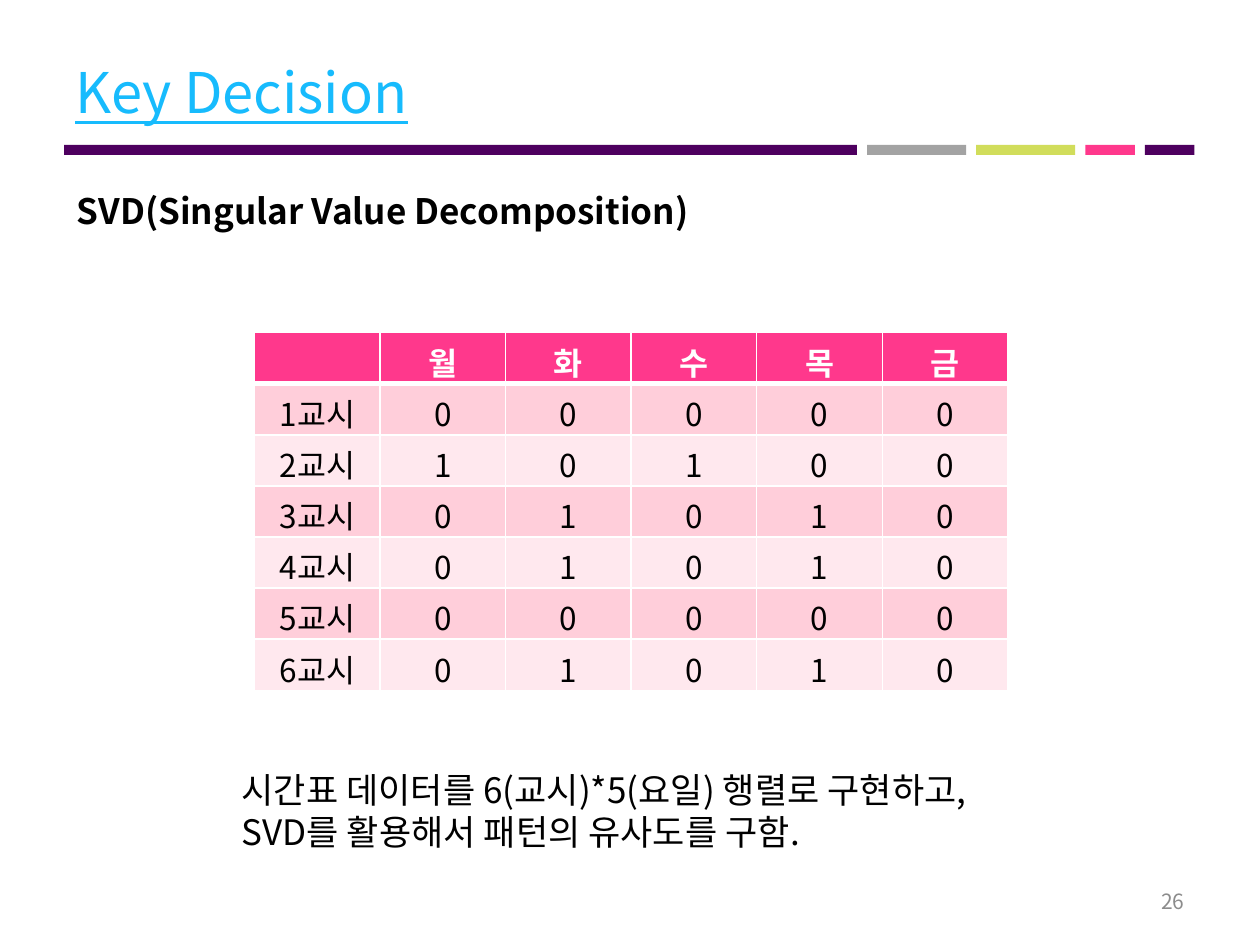
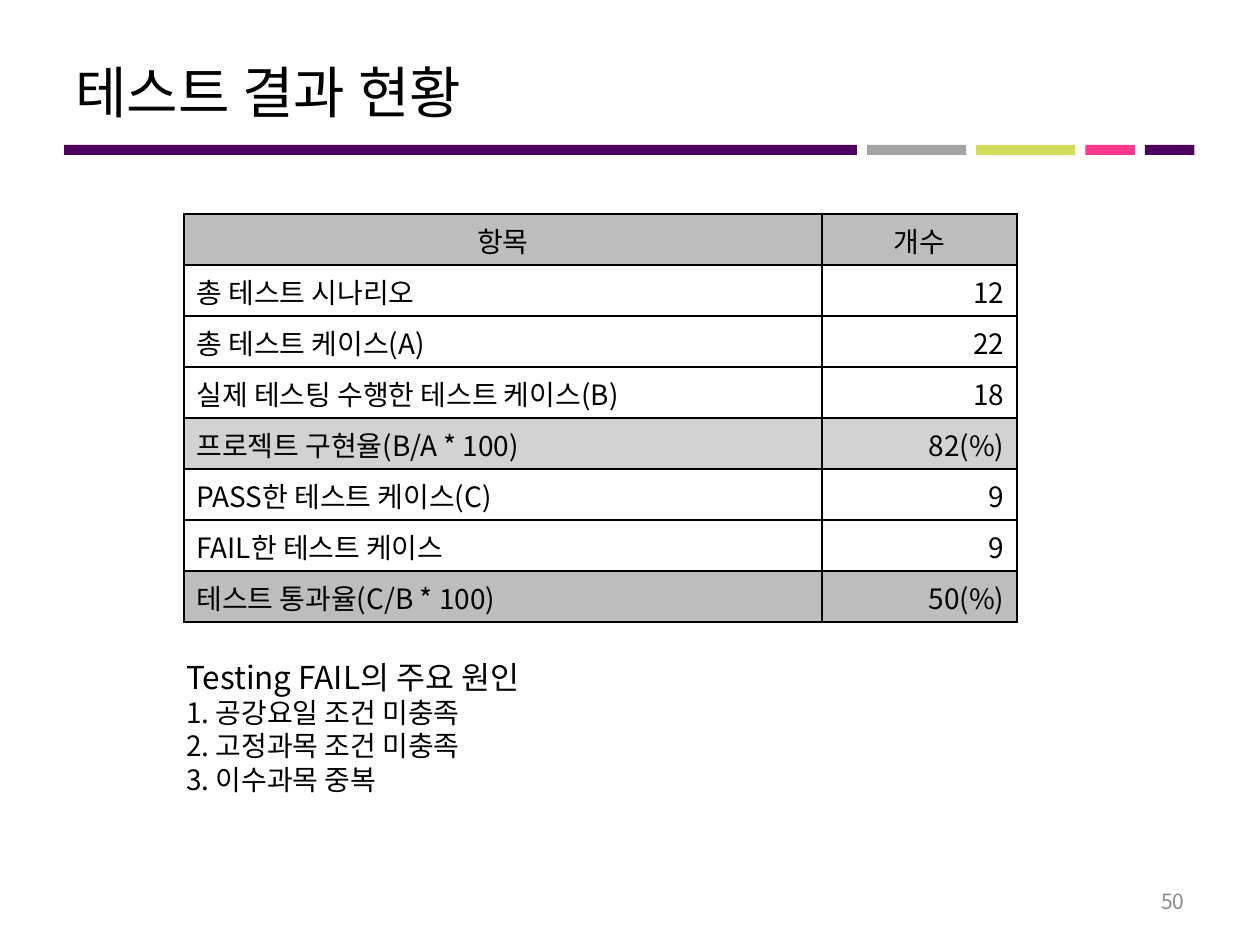
from dataclasses import dataclass
from typing import NamedTuple

from lxml.etree import SubElement
from pptx import Presentation
from pptx.dml.color import RGBColor
from pptx.enum.shapes import MSO_SHAPE
from pptx.enum.text import MSO_ANCHOR, PP_ALIGN
from pptx.oxml.ns import qn
from pptx.util import Inches, Pt


@dataclass(frozen=True)
class Theme:
    font: str = "Noto Sans CJK KR"
    ink: str = "000000"
    white: str = "FFFFFF"
    link: str = "17BBFD"
    page: str = "8C8C8C"
    purple: str = "4E005F"
    silver: str = "A3A3A3"
    lime: str = "D1DD5B"
    pink: str = "FF388C"
    rose: str = "FFCEDA"
    blush: str = "FFE8EE"
    gray: str = "BDBDBD"
    pale: str = "D2D2D2"
    title_pt: int = 32
    lead_pt: int = 20
    text_pt: int = 18
    small_pt: int = 16
    page_pt: int = 12


class Box(NamedTuple):
    """Left, top, width and height on the grid of 10 columns by 7.5 rows."""
    x: float
    y: float
    w: float
    h: float

    def emu(self):
        return [Inches(v) for v in self]


T = Theme()
COLUMNS, ROWS = 10, 7.5
TITLE = Box(0.5, 0.3, 9, 0.85)
BAND = Box(0.51, 1.15, 8.97, 0.08)
PAGE = Box(7.17, 6.95, 2.33, 0.4)
BAND_GAP = 0.08
BAND_PARTS = [(16, T.purple), (2, T.silver), (2, T.lime), (1, T.pink), (1, T.purple)]

DAYS = ["월", "화", "수", "목", "금"]
LESSONS = ["00000", "10100", "01010", "01010", "00000", "01010"]
RESULTS = [
    ("항목", "개수", T.gray),
    ("총 테스트 시나리오", "12", None),
    ("총 테스트 케이스(A)", "22", None),
    ("실제 테스팅 수행한 테스트 케이스(B)", "18", None),
    ("프로젝트 구현율(B/A * 100)", "82(%)", T.pale),
    ("PASS한 테스트 케이스(C)", "9", None),
    ("FAIL한 테스트 케이스", "9", None),
    ("테스트 통과율(C/B * 100)", "50(%)", T.gray),
]


def style(p, size, color=T.ink, bold=False, underline=False, align=PP_ALIGN.LEFT):
    p.alignment = align
    for r in p.runs:
        f = r.font
        f.size, f.bold, f.underline, f.name = Pt(size), bold, underline, T.font
        f.color.rgb = RGBColor.from_string(color)
        SubElement(f._element, qn("a:ea"), typeface=T.font)


def add_text(s, box, text, size, anchor=MSO_ANCHOR.TOP, **look):
    tf = s.shapes.add_textbox(*box.emu()).text_frame
    tf.word_wrap = True
    tf.vertical_anchor = anchor
    tf.text = text
    for p in tf.paragraphs:
        style(p, size, **look)
    return tf


def add_band(s, box):
    unit = (box.w - BAND_GAP * (len(BAND_PARTS) - 1)) / sum(n for n, _ in BAND_PARTS)
    x = box.x
    for share, color in BAND_PARTS:
        part = Box(x, box.y, share * unit, box.h)
        sp = s.shapes.add_shape(MSO_SHAPE.RECTANGLE, *part.emu())
        sp.shadow.inherit = False
        sp.fill.solid()
        sp.fill.fore_color.rgb = RGBColor.from_string(color)
        sp.line.fill.background()
        x += part.w + BAND_GAP


def add_frame(prs, title, number, **title_look):
    """Start a slide with the title, band and page number all slides share."""
    s = prs.slides.add_slide(prs.slide_layouts[6])
    add_band(s, BAND)
    add_text(s, TITLE, title, T.title_pt, MSO_ANCHOR.MIDDLE, **title_look)
    add_text(s, PAGE, str(number), T.page_pt, MSO_ANCHOR.MIDDLE,
             color=T.page, align=PP_ALIGN.RIGHT)
    return s


def add_grid(s, box, row_count, shares):
    """Add an unbanded table whose columns divide the box by the given shares."""
    table = s.shapes.add_table(row_count, len(shares), *box.emu()).table
    table.first_row = table.horz_banding = False
    for column, share in zip(table.columns, shares):
        column.width = Inches(box.w * share / sum(shares))
    return table


def fill_cell(cell, text, fill, line, size, top=1, bottom=1, **look):
    tc_pr = cell._tc.get_or_add_tcPr()
    for side, width in zip("LRTB", (1, 1, top, bottom)):
        ln = SubElement(tc_pr, qn(f"a:ln{side}"), w=str(Pt(width)))
        SubElement(SubElement(ln, qn("a:solidFill")), qn("a:srgbClr"), val=line)
    if fill:
        cell.fill.solid()
        cell.fill.fore_color.rgb = RGBColor.from_string(fill)
    else:
        cell.fill.background()
    cell.text = text
    style(cell.text_frame.paragraphs[0], size, **look)


def add_timetable(s, box):
    rows = [["", *DAYS]]
    rows += [[f"{n}교시", *marks] for n, marks in enumerate(LESSONS, 1)]
    table = add_grid(s, box, len(rows), [1] * len(rows[0]))
    for i, row in enumerate(rows):
        head = i == 0
        fill = T.pink if head else (T.blush, T.rose)[i % 2]
        for j, text in enumerate(row):
            fill_cell(table.cell(i, j), text, fill, T.white, T.text_pt,
                      top=3 if i == 1 else 1, bottom=3 if head else 1, bold=head,
                      color=T.white if head else T.ink, align=PP_ALIGN.CENTER)


def add_results(s, box):
    table = add_grid(s, box, len(RESULTS), [5.07, 1.55])
    for i, (item, count, fill) in enumerate(RESULTS):
        for j, (text, align) in enumerate([(item, PP_ALIGN.LEFT), (count, PP_ALIGN.RIGHT)]):
            fill_cell(table.cell(i, j), text, fill, T.ink, T.small_pt,
                      align=align if i else PP_ALIGN.CENTER)


def add_fail_causes(s, box):
    causes = ["공강요일 조건 미충족", "고정과목 조건 미충족", "이수과목 중복"]
    lines = ["Testing FAIL의 주요 원인"]
    lines += [f"{n}. {cause}" for n, cause in enumerate(causes, 1)]
    tf = add_text(s, box, "\n".join(lines), T.small_pt)
    tf.paragraphs[0].runs[0].font.size = Pt(T.text_pt)


def decision_slide(prs):
    s = add_frame(prs, "Key Decision", 26, color=T.link, underline=True)
    tf = add_text(s, Box(0.51, 1.39, 9, 0.63), "SVD(Singular Value Decomposition)",
                  T.lead_pt, bold=True)
    tf.paragraphs[0].line_spacing = 1.2
    tf.paragraphs[0].space_before = Pt(T.lead_pt * 0.2)
    add_timetable(s, Box(2.02, 2.64, 5.98, 2.84))
    add_text(s, Box(1.82, 6.05, 6.51, 0.77),
             "시간표 데이터를 6(교시)*5(요일) 행렬로 구현하고,\n"
             "SVD를 활용해서 패턴의 유사도를 구함.", T.lead_pt)


def results_slide(prs):
    s = add_frame(prs, "테스트 결과 현황", 50)
    add_results(s, Box(1.46, 1.7, 6.61, 3.24))
    add_fail_causes(s, Box(1.38, 5.17, 2.99, 1.21))


def main():
    prs = Presentation()
    prs.slide_width, prs.slide_height = Inches(COLUMNS), Inches(ROWS)
    decision_slide(prs)
    results_slide(prs)
    prs.save("out.pptx")


if __name__ == "__main__":
    main()
